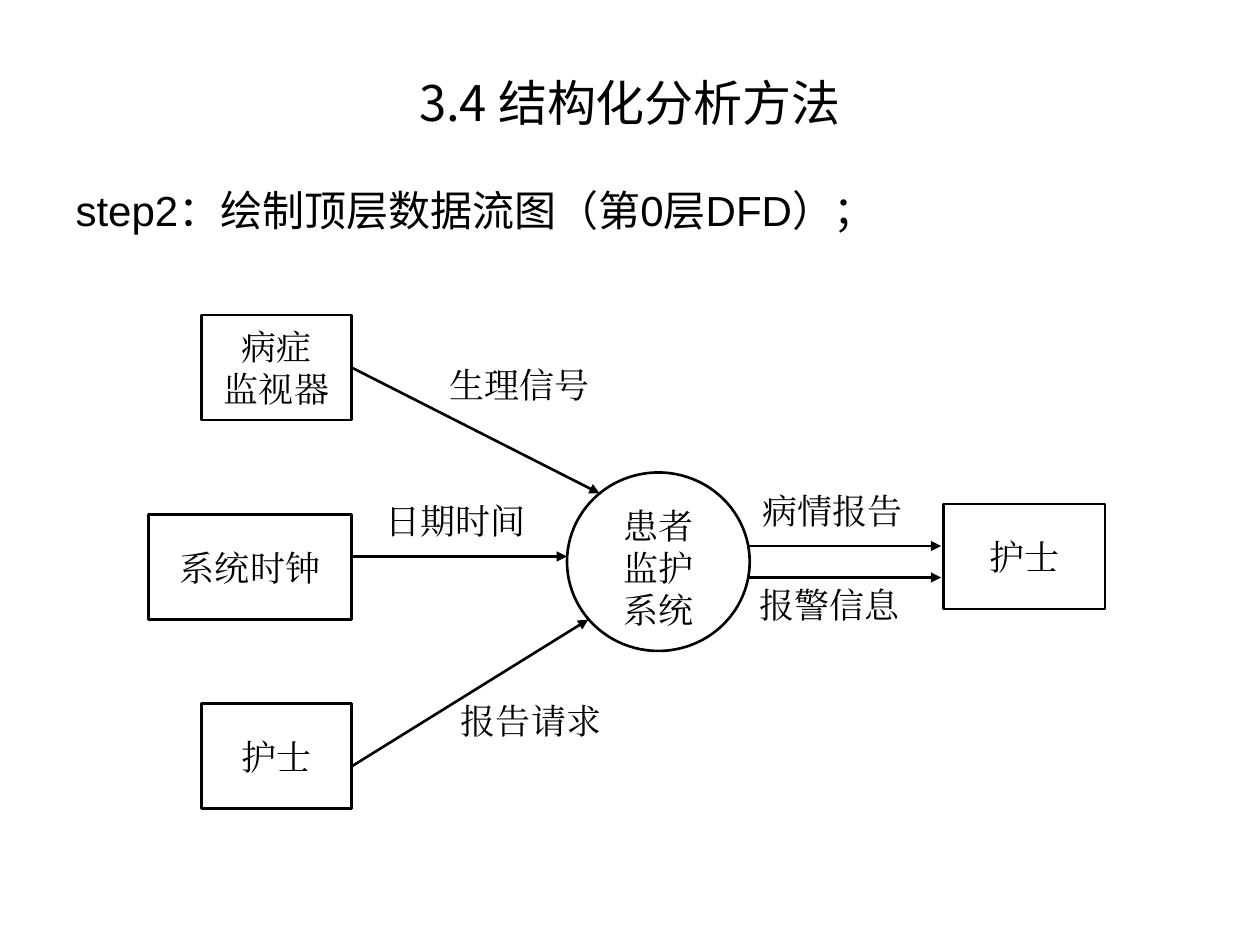
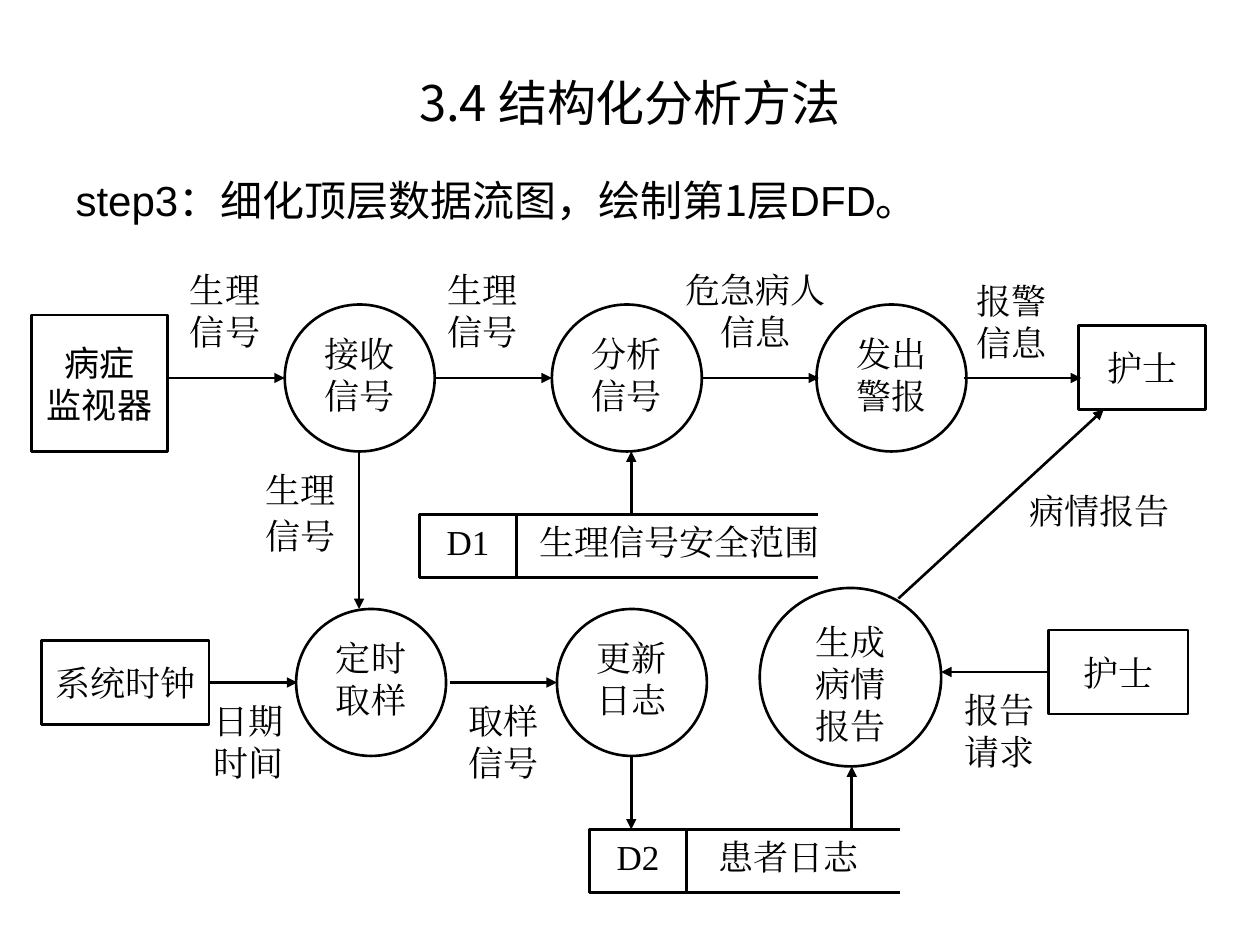
from lxml import etree
from pptx import Presentation
from pptx.dml.color import RGBColor
from pptx.enum.shapes import MSO_CONNECTOR as Link, MSO_SHAPE as Preset
from pptx.enum.text import MSO_ANCHOR as Anchor, MSO_AUTO_SIZE as Fit, PP_ALIGN as Align
from pptx.oxml.ns import qn
from pptx.util import Inches, Pt

INK = RGBColor(0x00, 0x00, 0x00)
PAPER = RGBColor(0xFF, 0xFF, 0xFF)
SANS, SERIF, HAN = "Arial", "Times New Roman", "Noto Sans CJK SC"
COLUMNS, ROWS = 100, 90
HEADING = "3.4 结构化分析方法"


def write(frame, text, font=SERIF, size=20, align=Align.LEFT, anchor=Anchor.TOP,
          wrap=True, leading=1.2, before=0, hanging=0):
    """Fill a frame; text is a string, or a list of (text, font) runs for one line."""
    frame.word_wrap, frame.auto_size, frame.vertical_anchor = wrap, Fit.NONE, anchor
    lines = [[(line, font)] for line in text.split("\n")] if isinstance(text, str) else [text]
    for number, runs in enumerate(lines):
        paragraph = frame.add_paragraph() if number else frame.paragraphs[0]
        paragraph.alignment = align
        paragraph.space_before = Pt(before)
        if leading:
            paragraph.line_spacing = Pt(size * leading)
        if hanging:
            props = paragraph._p.get_or_add_pPr()
            props.set("marL", str(Inches(hanging)))
            props.set("indent", str(-Inches(hanging)))
            etree.SubElement(props, qn("a:buNone"))
        for words, face in runs:
            run = paragraph.add_run()
            run.text = words
            run.font.name, run.font.size, run.font.color.rgb = face, Pt(size), INK
            east_asian = etree.SubElement(run._r.get_or_add_rPr(), qn("a:ea"))
            east_asian.set("typeface", face)


class FlowDiagram:
    """Holds the deck, the grid and the slide being drawn."""

    def __init__(self):
        self.deck = Presentation()
        self.deck.slide_width, self.deck.slide_height = Inches(10), Inches(7.5)
        self.slide = None

    def x(self, column):
        return round(self.deck.slide_width * column / COLUMNS)

    def y(self, row):
        return round(self.deck.slide_height * row / ROWS)

    def box(self, column, row, width, height):
        return self.x(column), self.y(row), self.x(width), self.y(height)

    def move(self, shape, *cells):
        shape.left, shape.top, shape.width, shape.height = self.box(*cells)

    def page(self, step, top, height):
        self.slide = self.deck.slides.add_slide(self.deck.slide_layouts[1])
        title, body = self.slide.placeholders
        self.move(title, 5, 5, 90, 9.4)
        write(title.text_frame, HEADING, font=HAN, size=28, align=Align.CENTER,
              anchor=Anchor.MIDDLE, leading=None)
        self.move(body, 5, top, 90, height)
        write(body.text_frame, step, size=24, before=6, hanging=0.38)

    def outline(self, preset, cells, filled=True):
        shape = self.slide.shapes.add_shape(preset, *self.box(*cells))
        shape.shadow.inherit = False
        if filled:
            shape.fill.solid()
            shape.fill.fore_color.rgb = PAPER
        else:
            shape.fill.background()
        shape.line.color.rgb, shape.line.width = INK, Pt(1.5)
        return shape.text_frame

    def entity(self, text, *cells, font=SERIF):
        write(self.outline(Preset.RECTANGLE, cells), text, font=font,
              align=Align.CENTER, anchor=Anchor.MIDDLE, wrap=False)

    def process(self, text, column, row, width=11.9, height=14):
        write(self.outline(Preset.OVAL, (column, row, width, height)), text,
              align=Align.CENTER)

    def label(self, text, *cells, **style):
        write(self.slide.shapes.add_textbox(*self.box(*cells)).text_frame, text, **style)

    def line(self, start, end, arrow=True):
        link = self.slide.shapes.add_connector(
            Link.STRAIGHT, self.x(start[0]), self.y(start[1]), self.x(end[0]), self.y(end[1]))
        link.line.color.rgb, link.line.width = INK, Pt(1.5)
        if arrow:
            tip = etree.SubElement(link.line._get_or_add_ln(), qn("a:tailEnd"))
            tip.set("type", "triangle")
        etree.SubElement(link._element.spPr, qn("a:effectLst"))

    def flow(self, start, end, text, *cells, **style):
        self.line(start, end)
        self.label(text, *cells, **style)

    def store(self, code, text, column, row, right, indent):
        """A data store: a code cell with an open-ended name field."""
        code_width, height = 7.7, 6
        edge = column + code_width
        write(self.outline(Preset.RECTANGLE, (column, row, code_width, height), filled=False),
              code, align=Align.CENTER)
        for rule in (row, row + height):
            self.line((edge, rule), (right, rule), arrow=False)
        self.label(text, edge + indent, row, 25.8, 6.6)


def draw_top_level(diagram):
    diagram.page([("step2：绘制顶层数据流图（第0层DFD）；", SANS)], 17, 63.5)

    # Sources, system and receiver
    diagram.process("患者\n监护\n系统", 45, 45, 14.5, 17)
    diagram.entity("病症\n监视器", 16, 30, 11.9, 10)
    diagram.entity("系统时钟", 11.8, 49, 16.1, 10)
    diagram.entity("护士", 16, 67, 11.9, 10)
    diagram.entity("护士", 74.9, 48, 12.8, 10)

    # Data flows
    for start, end, text, column, row in (
            ((27.9, 35), (47.6, 47), "生理信号", 34.7, 34),
            ((27.9, 53), (45, 53), "日期时间", 29.6, 47),
            ((27.9, 73), (46.7, 59), "报告请求", 35.6, 66),
            ((59.3, 52), (74.7, 52), "病情报告", 59.5, 46),
            ((59.3, 55), (74.7, 55), "报警信息", 59.3, 55)):
        diagram.flow(start, end, text, column, row, 14.5, 6)


def draw_first_level(diagram):
    diagram.page([("step3", SANS), ("：细化顶层数据流图，绘制第1层", HAN),
                  ("DFD", SANS), ("。", HAN)], 16, 67)

    # External entities
    diagram.entity("病症\n监视器", 2.5, 30, 10.8, 13, font=SANS)
    diagram.entity("护士", 85.6, 31, 10.1, 8)
    diagram.entity("系统时钟", 3.3, 61, 13.3, 8)
    diagram.entity("护士", 83.2, 60, 11.1, 8)

    # Processes
    for text, column, row in (("接收\n信号", 22.6, 29), ("分析\n信号", 43.8, 29),
                              ("发出\n警报", 64.8, 29), ("定时\n取样", 23.5, 58),
                              ("更新\n日志", 44.2, 58)):
        diagram.process(text, column, row)
    diagram.process("生成\n病情\n报告", 60.3, 56, 14.4, 17)

    # Alarm chain along the top
    diagram.flow((13.3, 36), (22.6, 36), "生理\n信号", 14.1, 25, 9.3, 9)
    diagram.flow((34.5, 36), (43.8, 36), "生理\n信号", 34.5, 25, 9.3, 9)
    diagram.flow((55.7, 36), (65, 36), "危急病人\n信息", 52.3, 25, 15.3, 10,
                 align=Align.CENTER)
    diagram.flow((76.5, 36), (85.8, 36), "报警\n信息", 76.5, 26, 9.3, 11)

    # Sampling and reporting
    diagram.flow((28.5, 43), (28.5, 58), "生理\n信号", 20.1, 44, 8.5, 9.6, before=2.5)
    diagram.flow((16.6, 65), (23.6, 65), "日期\n时间", 16, 66, 9.3, 10)
    diagram.flow((35.7, 65), (44.2, 65), "取样\n信号", 32.3, 66, 15.3, 10,
                 align=Align.CENTER)
    diagram.flow((83.2, 64), (74.7, 64), "报告\n请求", 75.6, 65, 9.3, 11)
    diagram.flow((71.3, 57), (87.6, 39), "病情报告", 80.7, 46, 14.4, 6)

    # Data stores and their access
    diagram.store("D1", "生理信号安全范围", 33.3, 49, 64.9, 0.8)
    diagram.store("D2", "患者日志", 46.8, 79, 71.4, 1.5)
    diagram.line((50.1, 49), (50.1, 43))
    diagram.line((50.1, 72), (50.1, 79))
    diagram.line((67.6, 79), (67.6, 73))


def main():
    diagram = FlowDiagram()
    draw_top_level(diagram)
    draw_first_level(diagram)
    diagram.deck.save("out.pptx")


if __name__ == "__main__":
    main()
